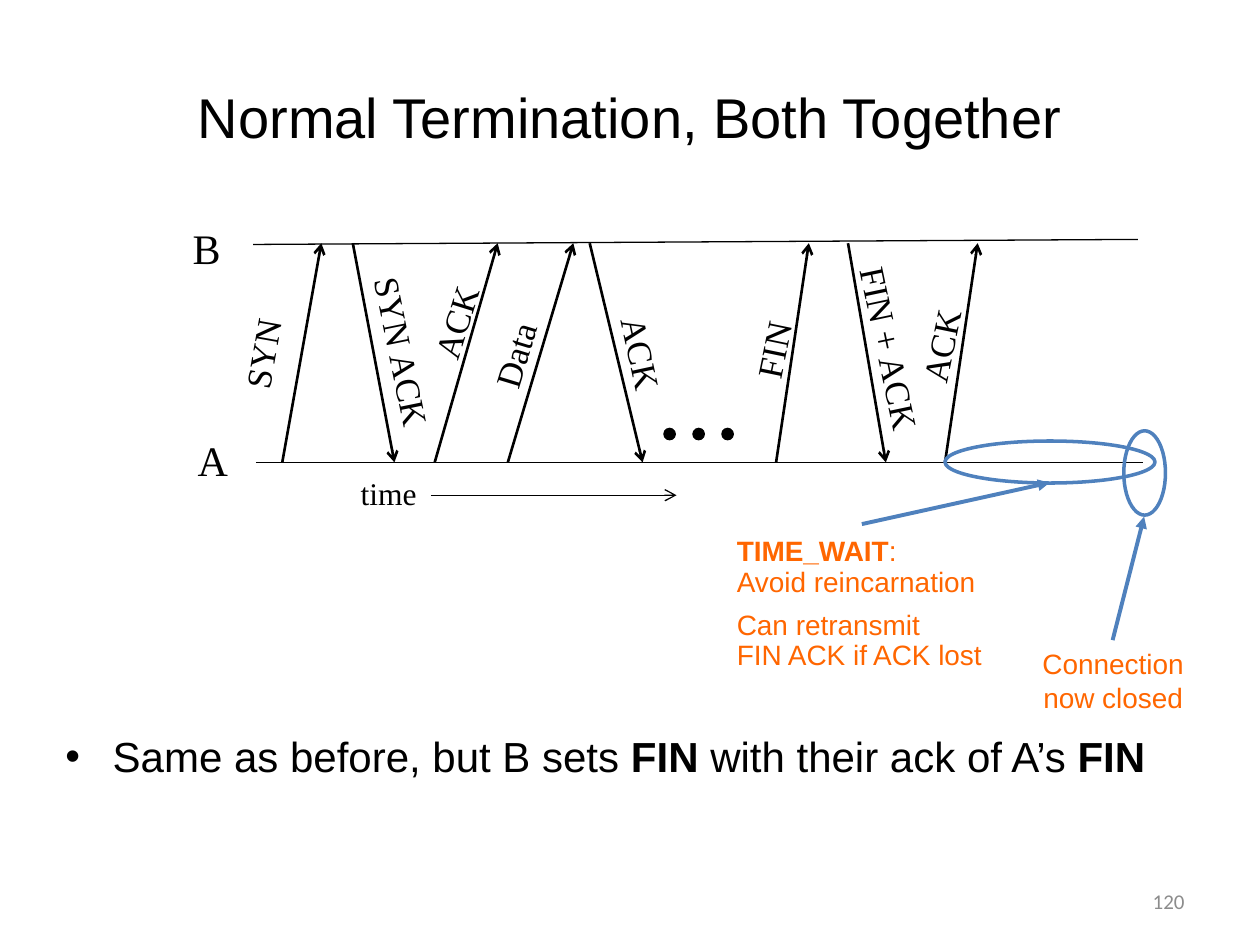
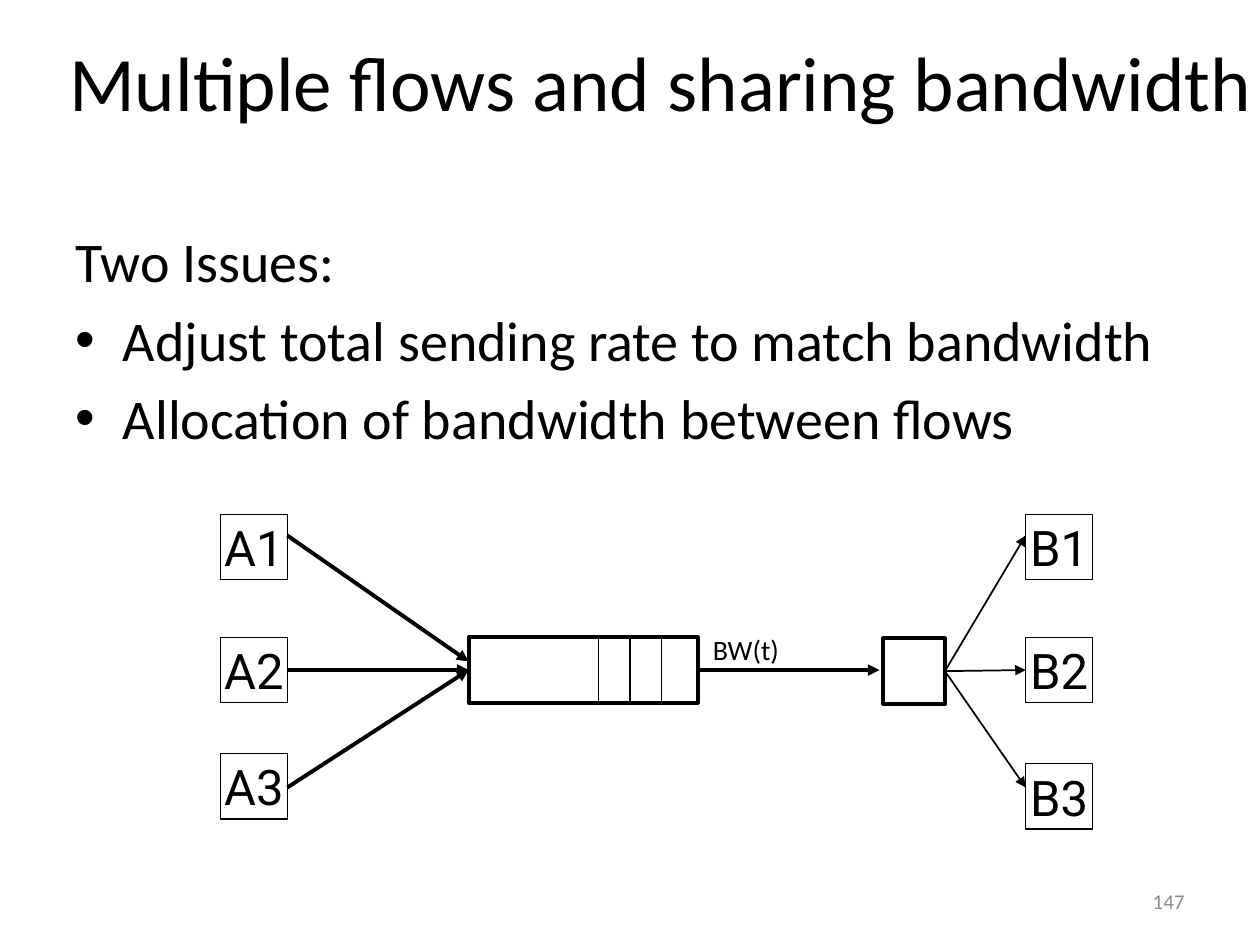
from lxml import etree
from pptx import Presentation
from pptx.dml.color import RGBColor
from pptx.enum.shapes import MSO_CONNECTOR, MSO_SHAPE
from pptx.enum.text import MSO_ANCHOR, MSO_AUTO_SIZE, PP_ALIGN
from pptx.oxml.ns import qn
from pptx.util import Pt

BLACK = RGBColor(0x00, 0x00, 0x00)
WHITE = RGBColor(0xFF, 0xFF, 0xFF)
BLUE = RGBColor(0x4F, 0x81, 0xBD)
ORANGE = RGBColor(0xFF, 0x66, 0x00)
GRAY = RGBColor(0x8C, 0x8C, 0x8C)

ARIAL, CALIBRI, ROBOTO, TIMES = "Arial", "Calibri", "Roboto", "Times New Roman"

STRAIGHT = MSO_CONNECTOR.STRAIGHT
RECT, OVAL = MSO_SHAPE.RECTANGLE, MSO_SHAPE.OVAL
LEFT, CENTER, RIGHT = PP_ALIGN.LEFT, PP_ALIGN.CENTER, PP_ALIGN.RIGHT
TOP, MIDDLE = MSO_ANCHOR.TOP, MSO_ANCHOR.MIDDLE
NO_FIT = MSO_AUTO_SIZE.NONE
LEFT_SIDE, RIGHT_SIDE = 1, 3

TITLE_AND_CONTENT = 1
HANGING = Pt(27)
NUMBER_BOX = (516, 500.4, 168, 28.8)


# Shared helpers
def points(*lengths):
    return [Pt(length) for length in lengths]


def write(paragraph, runs, font, size, color=BLACK):
    """Runs are (text, bold) pairs; a newline in a text is a line break."""
    for text, bold in runs:
        for i, line in enumerate(text.split("\n")):
            if i:
                paragraph.add_line_break()
            run = paragraph.add_run()
            run.text = line
            run.font.name, run.font.size, run.font.bold = font, Pt(size), bold
            run.font.color.rgb = color


def plain(text):
    return [(text, False)]


def set_bullet(paragraph, bulleted):
    properties = paragraph._p.get_or_add_pPr()
    properties.set("marL", str(HANGING))
    properties.set("indent", str(-HANGING))
    if bulleted:
        etree.SubElement(properties, qn("a:buChar")).set("char", "•")
    else:
        etree.SubElement(properties, qn("a:buNone"))


def add_label(slide, box, runs, font, size, color=BLACK, align=CENTER,
              anchor=MIDDLE, rotation=0):
    label = slide.shapes.add_textbox(*points(*box))
    label.rotation = rotation
    frame = label.text_frame
    frame.word_wrap, frame.auto_size = False, NO_FIT
    frame.vertical_anchor = anchor
    frame.paragraphs[0].alignment = align
    write(frame.paragraphs[0], runs, font, size, color)
    return frame


def add_outline(slide, kind, box, line_width, line=BLACK, fill=None):
    shape = slide.shapes.add_shape(kind, *points(*box))
    shape.shadow.inherit = False
    if fill is None:
        shape.fill.background()
    else:
        shape.fill.solid()
        shape.fill.fore_color.rgb = fill
    shape.line.color.rgb = line
    shape.line.width = Pt(line_width)
    return shape


def add_line(slide, start, end, width, color=BLACK, head=None):
    line = slide.shapes.add_connector(STRAIGHT, *points(*start, *end))
    line.line.color.rgb = color
    line.line.width = Pt(width)
    properties = line._element.spPr
    if head:
        outline = properties.find(qn("a:ln"))
        etree.SubElement(outline, qn("a:tailEnd")).set("type", head)
    etree.SubElement(properties, qn("a:effectLst"))
    return line


def place(placeholder, box):
    (placeholder.left, placeholder.top,
     placeholder.width, placeholder.height) = points(*box)
    placeholder.text_frame.auto_size = NO_FIT
    placeholder.text_frame.word_wrap = True
    return placeholder.text_frame


def add_slide(deck, title, title_box, font, size, number):
    slide = deck.slides.add_slide(deck.slide_layouts[TITLE_AND_CONTENT])
    frame = place(slide.shapes.title, title_box)
    frame.vertical_anchor = MIDDLE
    frame.paragraphs[0].alignment = CENTER
    write(frame.paragraphs[0], plain(title), font, size)
    add_label(slide, NUMBER_BOX, plain(number), CALIBRI, 12, GRAY, RIGHT)
    return slide


def fill_body(slide, box, items, font, size):
    """Items are (bulleted, runs) pairs."""
    frame = place(slide.placeholders[1], box)
    frame.vertical_anchor = TOP
    for i, (bulleted, runs) in enumerate(items):
        paragraph = frame.add_paragraph() if i else frame.paragraphs[0]
        set_bullet(paragraph, bulleted)
        paragraph.space_before = Pt(0.2 * size if i else 0)
        write(paragraph, runs, font, size)


# Message exchange between A and B
B_LINE, A_LINE = 19, 144.24
# label, start x, end x, goes up to B, label centre, label width, label rotation
MESSAGES = [
    ("SYN", 59.3, 81.6, True, (47.8, 82), 54.7, 280.1),
    ("SYN ACK", 99.6, 123.4, False, (128, 81.2), 101.5, 78.5),
    ("ACK", 146.4, 182.4, True, (158.3, 64), 56.9, 287.4),
    ("Data", 188.2, 225.6, True, (192.1, 82.7), 52.6, 286.7),
    ("ACK", 235, 265.2, False, (264.8, 82), 56.9, 77.9),
    ("FIN", 341.5, 360.2, True, (339.7, 79.8), 46.8, 281.6),
    ("FIN + ACK", 382.6, 404.2, False, (406.7, 79.1), 110.2, 78.1),
    ("ACK", 438, 456.7, True, (435.5, 77.6), 56.9, 281.6),
]


def draw_timeline(slide, left, top):
    def at(x, y):
        return left + x, top + y

    # Hosts and their time lines
    add_line(slide, at(42.7, 19.7), at(548.2, 16.8), 0.75)
    add_line(slide, at(44.2, A_LINE), at(551, A_LINE), 0.75)
    add_label(slide, (*at(1, 3.8), 30.2, 36), plain("B"), TIMES, 24)
    add_label(slide, (*at(3.8, 124.8), 31.7, 36), plain("A"), TIMES, 24)

    # Messages
    height = 31
    for name, start, end, upward, (x, y), width, rotation in MESSAGES:
        y_from, y_to = (A_LINE, B_LINE) if upward else (B_LINE, A_LINE)
        add_line(slide, at(start, y_from), at(end, y_to), 1.5, head="arrow")
        box = (*at(x - width / 2, y - height / 2), width, height)
        add_label(slide, box, plain(name), TIMES, 20, rotation=rotation)

    # Ellipsis dots
    for i in range(3):
        add_outline(slide, OVAL, (*at(277.4 + 16.56 * i, 124.8), 6.5, 6.5),
                    0.75, fill=BLACK)

    # Direction of time
    add_label(slide, (*at(96.7, 147.1), 46.8, 28.8), plain("time"), TIMES, 18)
    add_line(slide, at(144.2, 163), at(284.6, 163), 0.75, head="arrow")


def draw_callouts(slide, left, top):
    def at(x, y):
        return left + x, top + y

    # Connection closed
    add_outline(slide, OVAL, (*at(102.2, 0), 23.8, 48.2), 2, BLUE)
    add_line(slide, at(95.8, 119.6), at(113.8, 49), 2.25, BLUE, "triangle")
    add_label(slide, (*at(48.2, 119.6), 95.8, 46),
              plain("Connection\nnow closed"), ARIAL, 16, ORANGE)

    # Waiting state
    add_outline(slide, OVAL, (*at(0, 5.8), 120, 24), 2, BLUE)
    add_line(slide, at(-47.5, 53.3), at(59.8, 29.6), 2.25, BLUE, "triangle")
    reasons = add_label(slide, (*at(-126, 53.3), 156.2, 89.3),
                        [("TIME_WAIT", True), (":", False)],
                        ARIAL, 16, ORANGE, LEFT)
    for text, spacing, before in (
            ("Avoid reincarnation", 0.95, 0),
            ("Can retransmit\nFIN ACK if ACK lost", 0.9, 7)):
        paragraph = reasons.add_paragraph()
        paragraph.line_spacing, paragraph.space_before = spacing, Pt(before)
        write(paragraph, plain(text), ARIAL, 16, ORANGE)


# Flows that share one link
HOST_WIDTH, BOX_HEIGHT = 38.2, 37.4


def draw_host(slide, left, top, name):
    host = add_outline(slide, RECT, (left, top, HOST_WIDTH, BOX_HEIGHT), 0.75,
                       fill=WHITE)
    frame = host.text_frame
    frame.word_wrap, frame.vertical_anchor = False, MIDDLE
    frame.margin_left = frame.margin_right = Pt(4.3)
    frame.margin_top = frame.margin_bottom = Pt(2.2)
    frame.paragraphs[0].alignment = CENTER
    write(frame.paragraphs[0], plain(name), ROBOTO, 28)
    return host


def draw_shared_link(slide, left, top):
    def at(x, y):
        return left + x, top + y

    row, receivers_x = 70.4, 460.1
    axis = row + BOX_HEIGHT / 2
    senders = [draw_host(slide, *at(0, y), f"A{i}")
               for i, y in enumerate((0, row, 136.8), 1)]
    receivers = [draw_host(slide, *at(receivers_x, y), f"B{i}")
                 for i, y in enumerate((0, row, 142.6), 1)]

    # Queue with its slots, and the router
    queue = add_outline(slide, RECT, (*at(141.8, row), 131, BOX_HEIGHT), 2.25,
                        fill=WHITE)
    for i in range(3):
        x = 216 + 18 * i
        add_line(slide, at(x, row), at(x, row + BOX_HEIGHT), 1)
    router = add_outline(slide, RECT, (*at(378.7, 71), 35.3, BOX_HEIGHT), 2.25,
                         fill=WHITE)

    # Flows into the queue
    sender_edge = HOST_WIDTH
    add_line(slide, at(sender_edge, 12.2), at(141.8, 84.2), 2.25,
             head="triangle")
    for y in (axis, 156.2):
        flow = add_line(slide, at(sender_edge, y), at(141.8, axis), 2.25,
                        head="triangle")
        flow.end_connect(queue, LEFT_SIDE)
        if y == axis:
            flow.begin_connect(senders[1], RIGHT_SIDE)

    # Shared link
    link = add_line(slide, at(272.8, axis), at(376.6, axis), 2.25,
                    head="triangle")
    link.begin_connect(queue, RIGHT_SIDE)
    add_label(slide, (*at(274.3, 64.1), 55.4, 26.6), plain("BW(t)"), CALIBRI,
              16, align=LEFT, anchor=TOP)

    # Flows out of the router
    for y in (12.2, axis, 156.2):
        flow = add_line(slide, at(414, axis), at(receivers_x, y), 1,
                        head="triangle")
        flow.begin_connect(router, RIGHT_SIDE)
        if y == axis:
            flow.end_connect(receivers[1], LEFT_SIDE)


# Slides
def build_termination(deck):
    slide = add_slide(deck, "Normal Termination, Both Together",
                      (36, 21.6, 648, 90), ARIAL, 32, "120")
    fill_body(slide, (30.2, 414, 666, 54), [
        (True, [("Same as before, but B sets ", False), ("FIN", True),
                (" with their ack of A’s ", False), ("FIN", True)]),
    ], ARIAL, 24)
    draw_timeline(slide, 102, 120)
    draw_callouts(slide, 540, 246.2)


def build_sharing(deck):
    slide = add_slide(deck, "Multiple flows and sharing bandwidth",
                      (5.8, 0, 743.8, 92.2), CALIBRI, 44, "147")
    fill_body(slide, (36, 126, 648, 356.4), [
        (False, plain("Two Issues:")),
        (True, plain("Adjust total sending rate to match bandwidth")),
        (True, plain("Allocation of bandwidth between flows")),
    ], CALIBRI, 32)
    draw_shared_link(slide, 126, 293.8)


def main():
    deck = Presentation()
    deck.slide_width, deck.slide_height = points(720, 540)
    build_termination(deck)
    build_sharing(deck)
    deck.save("out.pptx")


if __name__ == "__main__":
    main()
